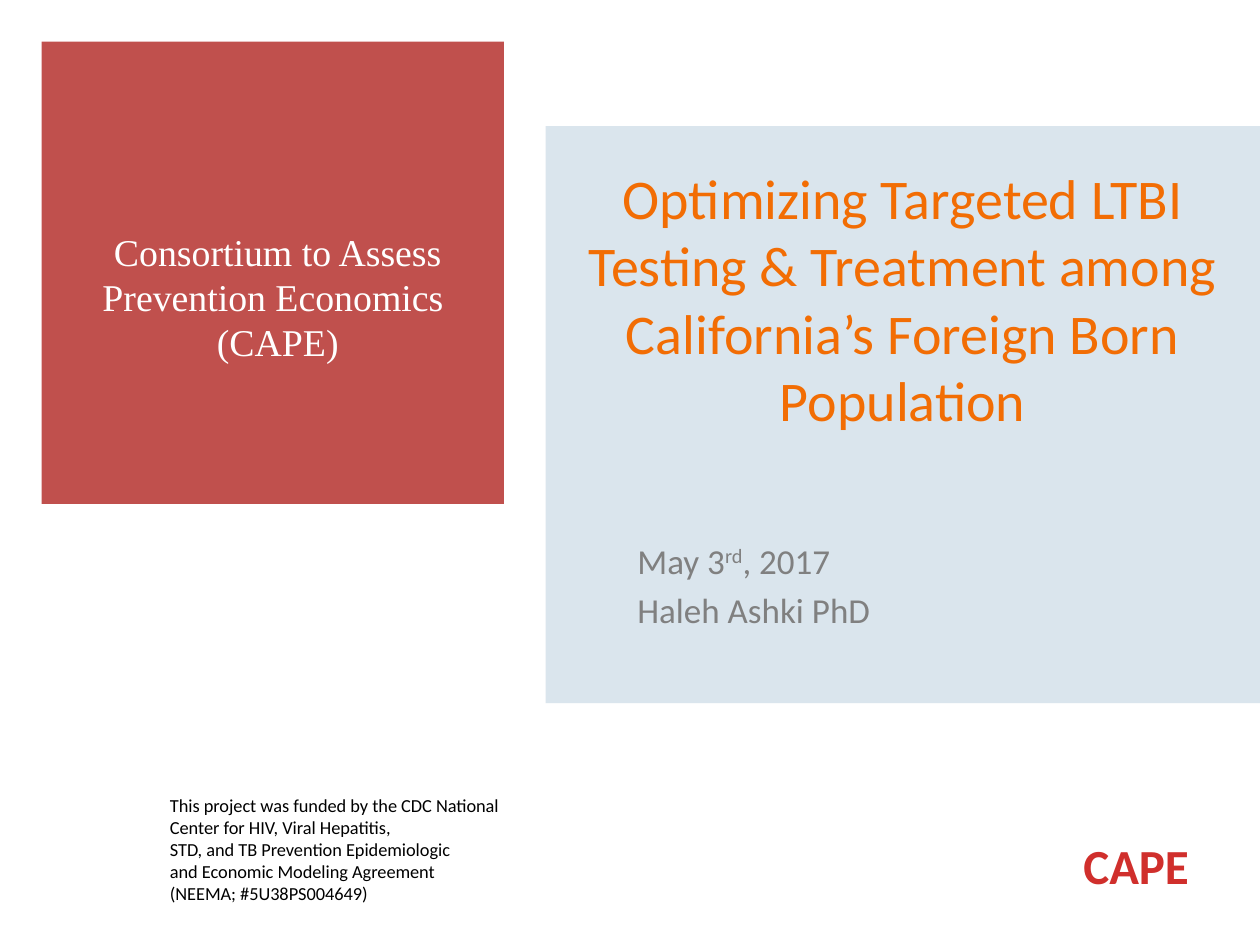
from dataclasses import dataclass, field

from lxml.etree import SubElement
from pptx import Presentation
from pptx.dml.color import RGBColor
from pptx.enum.shapes import MSO_SHAPE
from pptx.enum.text import MSO_ANCHOR, MSO_AUTO_SIZE, PP_ALIGN
from pptx.oxml.ns import qn
from pptx.util import Inches, Pt


@dataclass
class Box:
    left: float
    top: float
    width: float
    height: float

    def lengths(self) -> tuple:
        return tuple(Inches(v) for v in (self.left, self.top, self.width, self.height))


@dataclass
class Panel:
    box: Box
    color: str
    alpha: int = 100


@dataclass
class Text:
    paragraphs: list  # each paragraph is a list of (text, superscript) runs
    size: float
    color: str
    font: str = "Calibri"
    bold: bool = False
    para: dict = field(default_factory=dict)
    anchor: MSO_ANCHOR = MSO_ANCHOR.TOP


def rgb(color: str) -> RGBColor:
    return RGBColor.from_string(color)


def set_all(target, values: dict) -> None:
    for name, value in values.items():
        setattr(target, name, value)


def plain(*lines: str) -> list:
    return [[(line, False)] for line in lines]


def add_panel(slide, panel: Panel):
    sp = slide.shapes.add_shape(MSO_SHAPE.RECTANGLE, *panel.box.lengths())
    sp.shadow.inherit = False
    sp.fill.solid()
    sp.fill.fore_color.rgb = rgb(panel.color)
    sp.line.fill.background()
    if panel.alpha < 100:
        clr = sp.fill._xPr.find(qn("a:solidFill"))[0]
        SubElement(clr, qn("a:alpha"), val=str(panel.alpha * 1000))
    return sp


def write(sp, text: Text) -> None:
    tf = sp.text_frame
    set_all(tf, {"word_wrap": True, "auto_size": MSO_AUTO_SIZE.NONE,
                 "vertical_anchor": text.anchor})
    for i, runs in enumerate(text.paragraphs):
        p = tf.paragraphs[0] if i == 0 else tf.add_paragraph()
        set_all(p, {"alignment": PP_ALIGN.LEFT, **text.para})
        for n, line in enumerate(runs):
            content, superscript = line
            for k, piece in enumerate(content.split("\n")):
                if k:
                    p.add_line_break()
                r = p.add_run()
                r.text = piece
                set_all(r.font, {"name": text.font, "size": Pt(text.size),
                                 "bold": text.bold})
                r.font.color.rgb = rgb(text.color)
                if superscript:
                    r._r.get_or_add_rPr().set("baseline", "30000")


def add_text(slide, box: Box, text: Text) -> None:
    write(slide.shapes.add_textbox(*box.lengths()), text)


def main() -> None:
    prs = Presentation()
    prs.slide_width, prs.slide_height = Inches(10), Inches(7.5)
    slide = prs.slides.add_slide(prs.slide_layouts[5])

    # Background panels
    add_panel(slide, Panel(Box(4.33, 1, 5.67, 4.58), "C7D9E4", 66))
    add_panel(slide, Panel(Box(0.33, 0.33, 3.67, 3.67), "C0504D"))

    # Consortium name, brought in front of the panels
    title = slide.shapes.title
    slide.shapes._spTree.append(title._element)
    title.left, title.top, title.width, title.height = Box(0.58, 1.81, 3.25, 1.08).lengths()
    write(title, Text(plain("Consortium to Assess Prevention Economics \n(CAPE)"),
                      21.6, "FFFFFF", "Times New Roman",
                      para={"alignment": PP_ALIGN.CENTER, "line_spacing": Pt(25.7)},
                      anchor=MSO_ANCHOR.MIDDLE))

    # Date and speaker
    add_text(slide, Box(4.96, 4.23, 4.58, 0.99),
             Text([[("May 3", False), ("rd", True), (", 2017", False)],
                   [("Haleh Ashki PhD", False)]],
                  20, "808080", para={"space_before": Pt(4)}))

    # Funding note
    add_text(slide, Box(1.25, 6.25, 2.88, 1.25),
             Text(plain("This project was funded by the CDC National Center for HIV, "
                        "Viral Hepatitis,",
                        "STD, and TB Prevention Epidemiologic \n"
                        "and Economic Modeling Agreement",
                        "(NEEMA; #5U38PS004649)"),
                  10.5, "000000"))

    # Short name in the corner
    corner = add_panel(slide, Panel(Box(8.5, 6.58, 1.42, 0.57), "FFFFFF"))
    write(corner, Text(plain("CAPE"), 28, "D02F2C", bold=True))

    # Talk title
    add_text(slide, Box(4.33, 1.25, 5.67, 2.33),
             Text(plain("Optimizing Targeted LTBI Testing & Treatment among "
                        "California’s Foreign Born Population"),
                  32, "F26D04",
                  para={"alignment": PP_ALIGN.CENTER, "space_before": Pt(6.4)}))

    prs.save("out.pptx")


if __name__ == "__main__":
    main()
